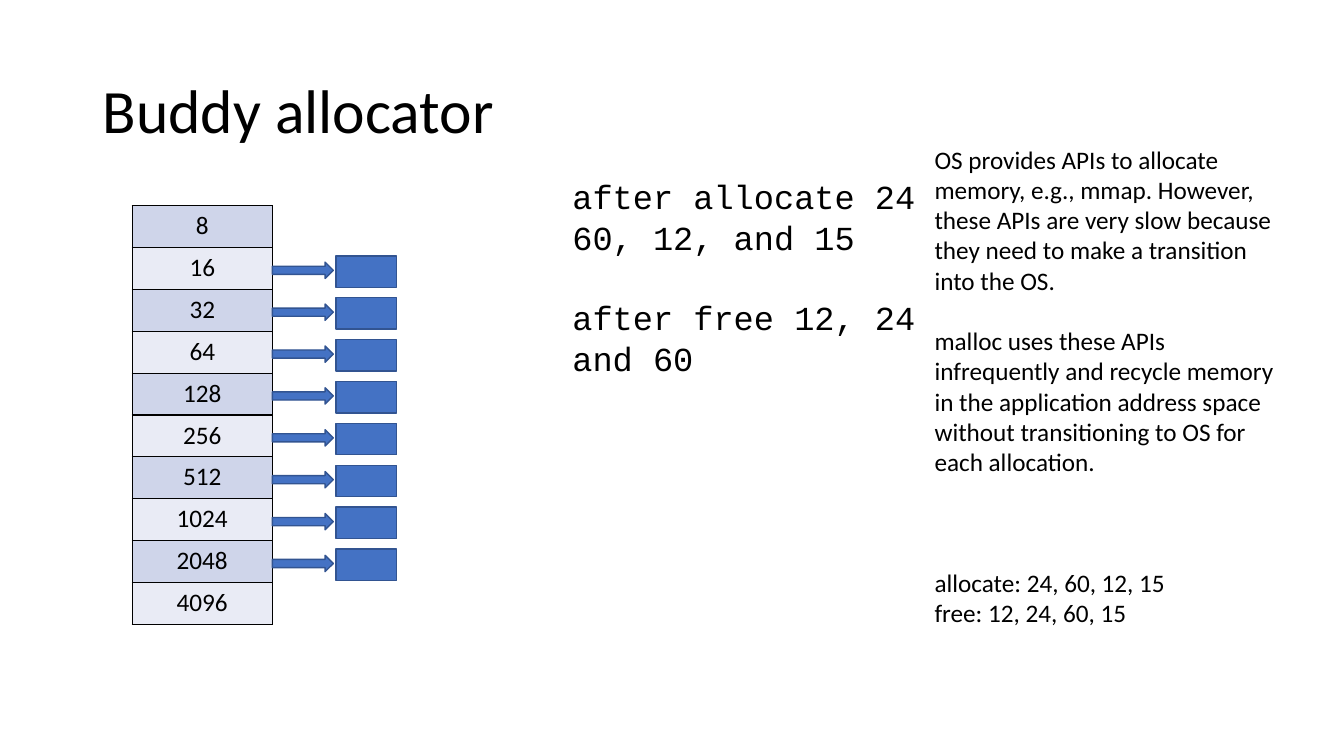
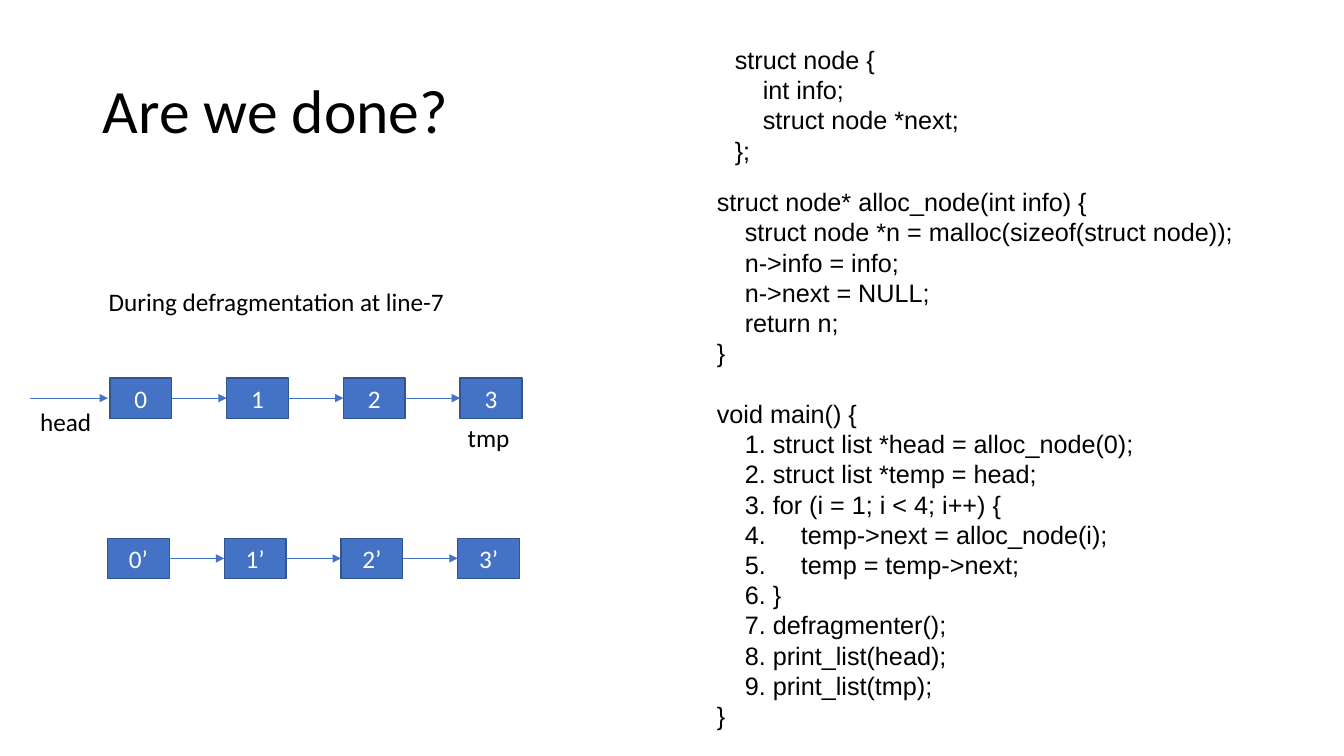
from collections import namedtuple

from lxml import etree
from pptx import Presentation
from pptx import util as u
from pptx.dml.color import RGBColor
from pptx.enum import shapes, text
from pptx.oxml import ns

COLORS = {"ink": "000000", "paper": "FFFFFF", "blue": "4472C4", "edge": "325491",
          "band_dark": "CFD5EA", "band_light": "E9EBF5"}
SANS, CODE, MONO = "Calibri", "Arial", "Courier New"
COL, ROW = u.Inches(13.33) / 100, u.Inches(7.5) / 100
LEADING = 1.2

Box = namedtuple("Box", "x y w h")

TITLE = Box(6.9, 5.33, 86.25, 19.33)
BUCKETS = [str(2 ** n) for n in range(3, 13)]
NOTES = [
    ("OS provides APIs to allocate memory, e.g., mmap. However, these APIs are very slow "
     "because they need to make a transition into the OS.", 0),
    ("malloc uses these APIs infrequently and recycle memory in the application address "
     "space without transitioning to OS for each allocation.", 1),
    ("allocate: 24, 60, 12, 15", 3),
    ("free: 12, 24, 60, 15", 0),
]
STEPS = [("after allocate 24", 0), ("60, 12, and 15", 0), ("after free 12, 24 and 60", 1)]
STRUCT_CODE = """struct node {
    int info;
    struct node *next;
};"""
ALLOC_CODE = """struct node* alloc_node(int info) {
    struct node *n = malloc(sizeof(struct node));
    n->info = info;
    n->next = NULL;
    return n;
}"""
MAIN_CODE = """void main() {
    1. struct list *head = alloc_node(0);
    2. struct list *temp = head;
    3. for (i = 1; i < 4; i++) {
    4.     temp->next = alloc_node(i);
    5.     temp = temp->next;
    6. }
    7. defragmenter();
    8. print_list(head);
    9. print_list(tmp);
}"""


def rgb(name):
    """Return a palette colour."""
    return RGBColor.from_string(COLORS[name])


def emu(box):
    """Turn a grid box into left, top, width and height."""
    return int(box.x * COL), int(box.y * ROW), int(box.w * COL), int(box.h * ROW)


def part(box, x, y, w, h):
    """Return the box at the given shares of a larger box."""
    return Box(box.x + x * box.w, box.y + y * box.h, w * box.w, h * box.h)


def add_run(p, words, size=18, font=SANS, color="ink"):
    """Add one formatted run to a paragraph."""
    r = p.add_run()
    r.text = words
    r.font.size, r.font.name = u.Pt(size), font
    r.font.color.rgb = rgb(color)


def code_lines(*blocks):
    """Split code into lines, with one line of space between blocks."""
    return [(line, int(b > 0 and n == 0))
            for b, block in enumerate(blocks)
            for n, line in enumerate(block.split("\n"))]


def add_text(s, box, lines, size=18, font=SANS):
    """Place paragraphs, each with its space before counted in lines."""
    tf = s.shapes.add_textbox(*emu(box)).text_frame
    tf.word_wrap = True
    for n, (words, gap) in enumerate(lines):
        p = tf.add_paragraph() if n else tf.paragraphs[0]
        p.line_spacing = u.Pt(size * LEADING)
        if gap:
            p.space_before = u.Pt(size * LEADING * gap)
        add_run(p, words, size, font)


def add_block(s, kind, box, label=None):
    """Place a blue outlined shape with an optional label."""
    sp = s.shapes.add_shape(kind, *emu(box))
    sp.shadow.inherit = False
    sp.fill.solid()
    sp.fill.fore_color.rgb = rgb("blue")
    sp.line.color.rgb = rgb("edge")
    sp.line.width = u.Pt(1)
    if label:
        tf = sp.text_frame
        tf.vertical_anchor = text.MSO_ANCHOR.MIDDLE
        p = tf.paragraphs[0]
        p.alignment = text.PP_ALIGN.CENTER
        add_run(p, label, color="paper")


def add_arrow(s, x1, x2, y):
    """Draw a thin horizontal arrow between two columns."""
    line = s.shapes.add_connector(shapes.MSO_CONNECTOR.STRAIGHT,
                                  int(x1 * COL), int(y * ROW), int(x2 * COL), int(y * ROW))
    line.line.color.rgb = rgb("blue")
    line.line.width = u.Pt(0.5)
    etree.SubElement(line.line._get_or_add_ln(), ns.qn("a:tailEnd"), type="triangle")
    etree.SubElement(line._element.spPr, ns.qn("a:effectLst"))


def add_borders(cell):
    """Give a cell a one point border on each side."""
    tcPr = cell._tc.get_or_add_tcPr()
    for n, side in enumerate(("lnL", "lnR", "lnT", "lnB")):
        ln = etree.Element(ns.qn("a:" + side), w=str(u.Pt(1)))
        fill = etree.SubElement(ln, ns.qn("a:solidFill"))
        etree.SubElement(fill, ns.qn("a:srgbClr"), val=COLORS["ink"])
        tcPr.insert(n, ln)


def add_buckets(s, box, sizes):
    """Place the size table, with a free block beside each inner row."""
    frame = s.shapes.add_table(len(sizes), 1, *emu(part(box, 0, 0, 0.53, 1)))
    table = frame.table
    table.first_row = False
    for n, size in enumerate(sizes):
        cell = table.cell(n, 0)
        cell.fill.solid()
        cell.fill.fore_color.rgb = rgb("band_light" if n % 2 else "band_dark")
        add_borders(cell)
        p = cell.text_frame.paragraphs[0]
        p.alignment = text.PP_ALIGN.CENTER
        add_run(p, size)
    row = 1 / len(sizes)
    for n in range(1, len(sizes) - 1):
        lane = part(box, 0, n * row, 1, row)
        add_block(s, shapes.MSO_SHAPE.RECTANGLE, part(lane, 0.77, 0.2, 0.23, 0.75))
        add_block(s, shapes.MSO_SHAPE.RIGHT_ARROW, part(lane, 0.53, 0.35, 0.23, 0.39))


def add_chain(s, box, labels):
    """Place equally spaced nodes joined by arrows."""
    width = 0.15
    pitch = (1 - width) / (len(labels) - 1)
    nodes = [part(box, n * pitch, 0, width, 1) for n in range(len(labels))]
    for node, label in zip(nodes, labels):
        add_block(s, shapes.MSO_SHAPE.RECTANGLE, node, label)
    for a, b in zip(nodes, nodes[1:]):
        add_arrow(s, a.x + a.w, b.x, box.y + box.h / 2)


def add_titled_slide(prs, title):
    """Add a slide and format its title."""
    s = prs.slides.add_slide(prs.slide_layouts[5])
    sp = s.shapes.title
    sp.left, sp.top, sp.width, sp.height = emu(TITLE)
    tf = sp.text_frame
    tf.auto_size = text.MSO_AUTO_SIZE.NONE
    tf.vertical_anchor = text.MSO_ANCHOR.MIDDLE
    p = tf.paragraphs[0]
    p.alignment = text.PP_ALIGN.LEFT
    p.line_spacing = 0.9
    add_run(p, title, 44)
    return s


def build_allocator(prs):
    """Build the slide on the buddy allocator."""
    s = add_titled_slide(prs, "Buddy allocator")
    add_buckets(s, Box(9.83, 27.2, 19.7, 55.4), BUCKETS)
    add_text(s, Box(68.8, 18.4, 27.75, 66), NOTES)
    add_text(s, Box(41.85, 22.67, 27.75, 28.27), STEPS, 24, MONO)


def build_defragmentation(prs):
    """Build the slide on the lists during defragmentation."""
    s = add_titled_slide(prs, "Are we done?")
    add_text(s, Box(52.6, 24, 41.63, 74), code_lines(ALLOC_CODE, MAIN_CODE), font=CODE)
    add_text(s, Box(53.94, 5.2, 18.23, 21.6), code_lines(STRUCT_CODE), font=CODE)
    add_text(s, Box(7.35, 37.2, 28.73, 5.33), [("During defragmentation at line-7", 0)])
    old = Box(8.18, 50, 30.65, 5.33)
    add_chain(s, old, ["0", "1", "2", "3"])
    add_arrow(s, 2.25, old.x - 0.15, old.y + old.h / 2)
    add_text(s, Box(2.25, 53.07, 7, 5.33), [("head", 0)])
    add_text(s, Box(34.06, 55.2, 7, 5.33), [("tmp", 0)])
    add_chain(s, old._replace(x=8, y=71.2), ["0’", "1’", "2’", "3’"])


def main():
    """Build and save the presentation."""
    prs = Presentation()
    prs.slide_width, prs.slide_height = u.Inches(13.33), u.Inches(7.5)
    build_allocator(prs)
    build_defragmentation(prs)
    prs.save("out.pptx")


if __name__ == "__main__":
    main()
